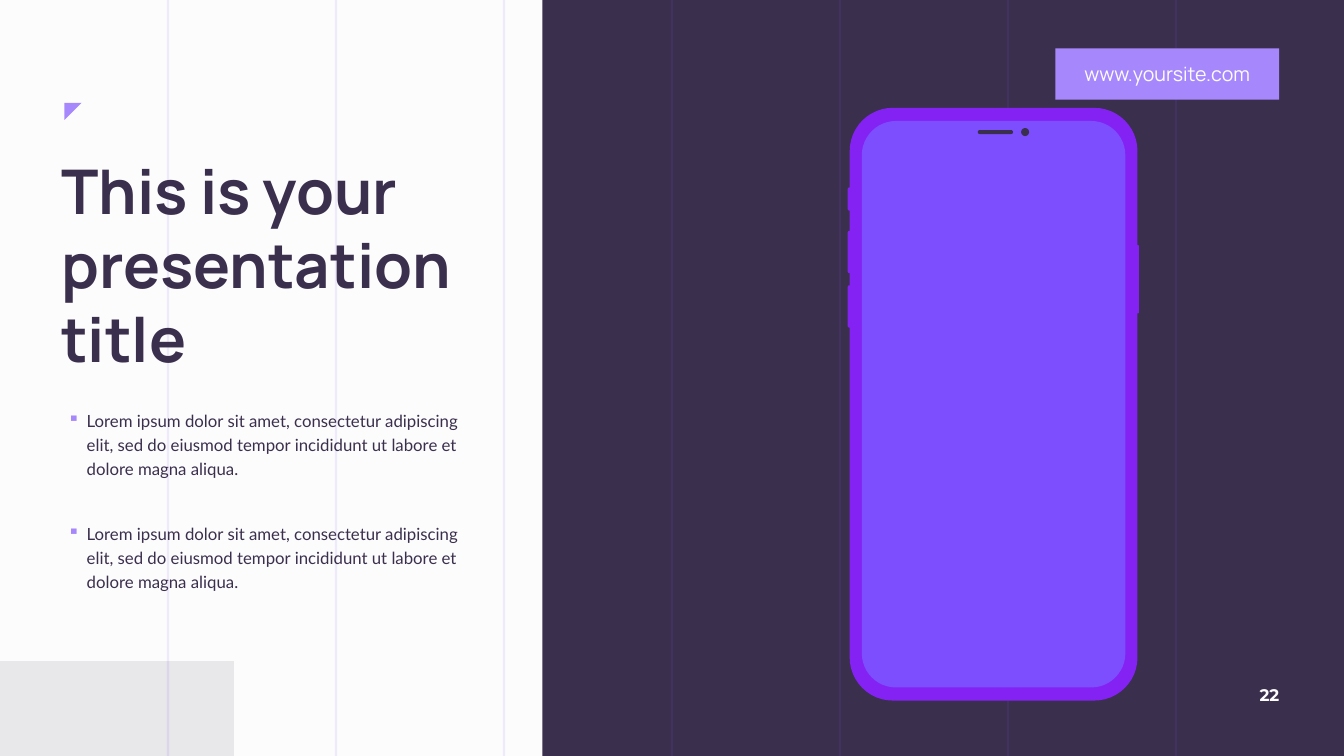
from dataclasses import dataclass
from typing import Optional

from lxml import etree
from pptx import Presentation
from pptx import util as u
from pptx.dml.color import RGBColor
from pptx.enum import shapes, text
from pptx.oxml.ns import qn

# Grid: 80 columns by 45 rows of square cells
COLUMNS, ROWS = 80, 45
GUIDE_STEP = 10
CELL = u.Inches(7.5) // ROWS

PAPER = RGBColor(0xFC, 0xFC, 0xFC)
INK = RGBColor(0x3B, 0x2F, 0x4E)
LILAC = RGBColor(0xA6, 0x88, 0xFC)
VIOLET = RGBColor(0x7C, 0x4E, 0xFD)
PURPLE = RGBColor(0x84, 0x22, 0xF4)

RECT = shapes.MSO_SHAPE.RECTANGLE
ROUND = shapes.MSO_SHAPE.ROUNDED_RECTANGLE
OVAL = shapes.MSO_SHAPE.OVAL
TRIANGLE = shapes.MSO_SHAPE.RIGHT_TRIANGLE

LOREM = ("Lorem ipsum dolor sit amet, consectetur adipiscing elit, sed do "
         "eiusmod tempor incididunt ut labore et dolore magna aliqua.")


@dataclass
class Block:
    column: float
    row: float
    columns: float
    rows: float
    color: RGBColor = PURPLE
    kind: shapes.MSO_SHAPE = RECT
    rounding: Optional[float] = None
    alpha: Optional[int] = None
    rotation: int = 0


@dataclass
class Style:
    font: str
    size: int
    color: RGBColor
    bold: bool = False
    align: text.PP_ALIGN = text.PP_ALIGN.LEFT


PANEL = Block(32.28, 0, 47.72, ROWS, INK)
CORNERS = [
    Block(0, 39.36, 13.92, 5.64, INK, alpha=10),
    Block(3.84, 6.12, 1.02, 1.02, LILAC, TRIANGLE, rotation=90),
]
LEFT_BUTTONS = [Block(50.46, row, 0.2, rows, kind=ROUND, rounding=0.5)
                for row, rows in ((11.16, 1.38), (13.74, 2.52), (16.98, 2.52))]
PHONE = [
    Block(67.62, 14.58, 0.18, 4.08, kind=ROUND, rounding=0.5),
    *LEFT_BUTTONS,
    Block(50.58, 6.42, 17.13, 35.28, kind=ROUND, rounding=0.15),
    Block(51.3, 7.2, 15.69, 33.72, VIOLET, ROUND, 0.13),
    Block(58.2, 7.74, 2.1, 0.24, INK, ROUND, 0.5),
    Block(60.78, 7.62, 0.48, 0.48, INK, OVAL),
]
SITE = Block(62.82, 2.88, 13.32, 3.06, LILAC)

TITLE_STYLE = Style("Manrope", 44, INK, bold=True)
BODY_STYLE = Style("Lato", 12, INK)
NUMBER_STYLE = Style("Montserrat", 12, PAPER, True, text.PP_ALIGN.RIGHT)
SITE_STYLE = Style("Manrope", 14, PAPER, align=text.PP_ALIGN.CENTER)


def cells(*counts: float) -> list:
    return [u.Emu(round(count * CELL)) for count in counts]


def set_alpha(properties, percent: int) -> None:
    color = next(properties.iter(qn("a:srgbClr")))
    etree.SubElement(color, qn("a:alpha")).set("val", str(percent * 1000))


def draw_block(page, block: Block):
    shape = page.shapes.add_shape(
        block.kind, *cells(block.column, block.row, block.columns, block.rows))
    shape.shadow.inherit = False
    shape.fill.solid()
    shape.fill.fore_color.rgb = block.color
    shape.line.fill.background()
    shape.rotation = block.rotation
    if block.rounding is not None:
        shape.adjustments[0] = block.rounding
    if block.alpha is not None:
        set_alpha(shape._element.spPr, block.alpha)
    return shape


def draw_guide(page, column: int) -> None:
    guide = page.shapes.add_connector(
        shapes.MSO_CONNECTOR.STRAIGHT, *cells(column, 0, column, ROWS))
    guide.line.color.rgb = VIOLET
    guide.line.width = u.Pt(1.5)
    properties = guide._element.spPr
    set_alpha(properties, 10)
    etree.SubElement(properties, qn("a:effectLst"))


def add_bullet(para) -> None:
    properties = para._p.get_or_add_pPr()
    indent = u.Inches(0.19)
    properties.set("marL", str(indent))
    properties.set("indent", str(-indent))
    color = etree.SubElement(properties, qn("a:buClr"))
    etree.SubElement(color, qn("a:srgbClr")).set("val", str(LILAC))
    etree.SubElement(properties, qn("a:buChar")).set("char", "▪")


def write(frame, lines: list[str], style: Style, bulleted: bool = False) -> None:
    frame.word_wrap = True
    for index, line in enumerate(lines):
        para = frame.add_paragraph() if index else frame.paragraphs[0]
        para.text = line
        para.alignment = style.align
        if bulleted:
            para.line_spacing = 1.2
            if index:
                para.space_before = u.Pt(29)
            add_bullet(para)
        para.font.name = style.font
        para.font.size = u.Pt(style.size)
        para.font.bold = style.bold
        para.font.color.rgb = style.color


def add_text(page, column: float, row: float, columns: float, rows: float):
    return page.shapes.add_textbox(*cells(column, row, columns, rows)).text_frame


def main() -> None:
    deck = Presentation()
    deck.slide_width, deck.slide_height = cells(COLUMNS, ROWS)
    page = deck.slides.add_slide(deck.slide_layouts[6])
    page.background.fill.solid()
    page.background.fill.fore_color.rgb = PAPER

    # Backdrop with column guides
    draw_block(page, PANEL)
    for column in range(GUIDE_STEP, COLUMNS, GUIDE_STEP):
        draw_guide(page, column)

    # Corner accents and phone
    for block in CORNERS + PHONE:
        draw_block(page, block)

    # Bulleted text
    body = add_text(page, 4.02, 24.18, 24.12, 11.1)
    body.margin_left = body.margin_right = body.margin_top = body.margin_bottom = 0
    write(body, [LOREM, LOREM], BODY_STYLE, bulleted=True)

    # Title
    title = add_text(page, 3.06, 8.82, 26.7, 13.92)
    write(title, ["This is your presentation", "title"], TITLE_STYLE)

    # Page number
    number = add_text(page, 74.04, 40.14, 2.7, 2.4)
    number.vertical_anchor = text.MSO_ANCHOR.MIDDLE
    write(number, ["22"], NUMBER_STYLE)

    # Site label
    site = draw_block(page, SITE).text_frame
    site.vertical_anchor = text.MSO_ANCHOR.MIDDLE
    write(site, ["www.yoursite.com"], SITE_STYLE)

    deck.save("out.pptx")


if __name__ == "__main__":
    main()
